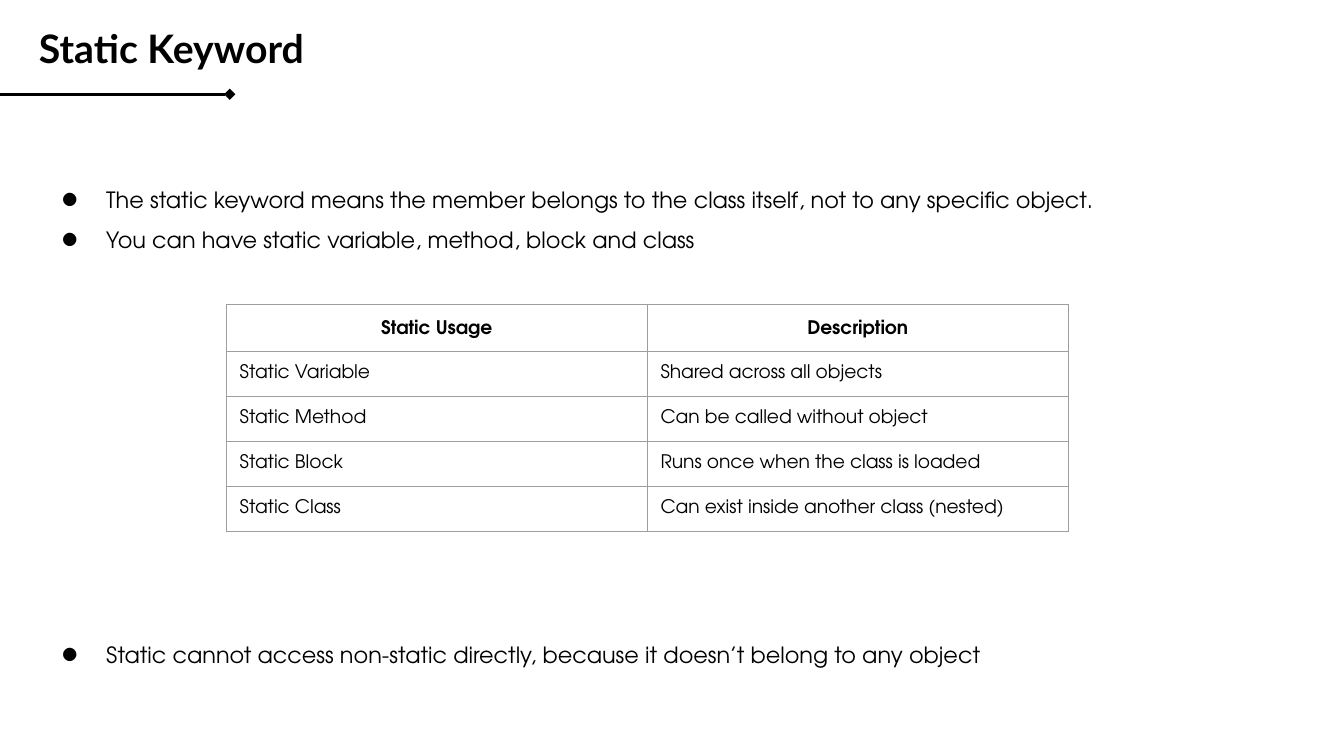
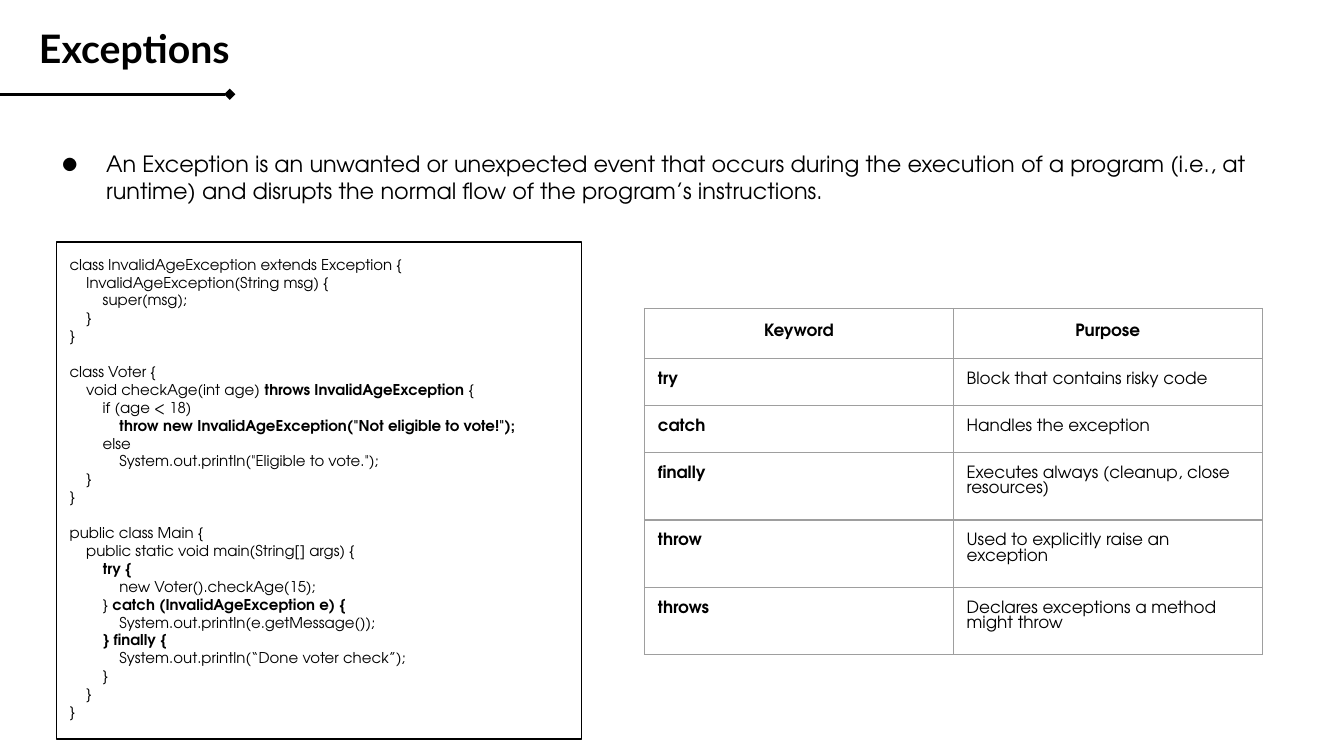
import pptx
import pptx.dml.color
import pptx.enum.shapes
import pptx.enum.text
import pptx.oxml
import pptx.oxml.ns
import pptx.util
from lxml import etree

Pt = pptx.util.Pt
ALIGN = pptx.enum.text.PP_ALIGN
ANCHOR = pptx.enum.text.MSO_ANCHOR
RECTANGLE = pptx.enum.shapes.MSO_SHAPE.RECTANGLE

COLORS = {"ink": "000000", "paper": "FFFFFF", "grid": "9E9E9E"}
TITLE_FONT = "Lato"
BODY_FONT = "TeX Gyre Adventor"
INSET = 7.2
BULLET_TOP_INSET = 14.5
BOLD_MARK = "**"

# Boxes are (left, top, width, height).
STATIC_SLIDE = {
    "title": "Static Keyword",
    "bullets": [
        {
            "box": (20.9, 77.8, 652.3, 62.6), "spacing": 1.5,
            "items": [
                "The static keyword means the member belongs to the class itself, not to any specific object.",
                "You can have static variable, method, block and class",
            ],
        },
        {
            "box": (20.9, 321.8, 652.3, 62.6), "spacing": 1.5,
            "items": ["Static cannot access non-static directly, because it doesn’t belong to any object"],
        },
    ],
    "table": {
        "origin": (121.2, 163.1), "column_width": 225.5, "size": 10,
        "row_heights": [25.2, 24.1, 24.1, 24.1, 24.1], "bold_keys": False,
        "rows": [
            ("Static Usage", "Description"),
            ("Static Variable", "Shared across all objects"),
            ("Static Method", "Can be called without object"),
            ("Static Block", "Runs once when the class is loaded"),
            ("Static Class", "Can exist inside another class (nested)"),
        ],
    },
}

EXCEPTION_SLIDE = {
    "title": "Exceptions",
    "bullets": [
        {
            "box": (20.9, 66.2, 674.6, 61.9), "spacing": 1,
            "items": [
                "An Exception is an unwanted or unexpected event that occurs during the execution "
                "of a program (i.e., at runtime) and disrupts the normal flow of the program’s instructions.",
            ],
        },
    ],
    "code": {
        "box": (30.2, 129.6, 281.5, 266.4), "size": 8, "class_gap": 9.6,
        "classes": [
            [
                "class InvalidAgeException extends Exception {",
                "    InvalidAgeException(String msg) {",
                "        super(msg);",
                "    }",
                "}",
            ],
            [
                "class Voter {",
                "    void checkAge(int age)** throws InvalidAgeException** {",
                "        if (age < 18)",
                '            **throw new InvalidAgeException("Not eligible to vote!");**',
                "        else",
                '            System.out.println("Eligible to vote.");',
                "    }",
                "}",
            ],
            [
                "public class Main {",
                "    public static void main(String[] args) {",
                "       ** try {**",
                "            new Voter().checkAge(15);",
                "        } **catch (InvalidAgeException e) {**",
                "            System.out.println(e.getMessage());",
                "**        } finally {**",
                "            System.out.println(“Done voter check”);",
                "        }",
                "    }",
                "}",
            ],
        ],
    },
    "table": {
        "origin": (345.2, 165.3), "column_width": 165.5, "size": 9,
        "row_heights": [26.8, 25.2, 25.2, 36.1, 36.1, 36.1], "bold_keys": True,
        "rows": [
            ("Keyword", "Purpose"),
            ("try", "Block that contains risky code"),
            ("catch", "Handles the exception"),
            ("finally", "Executes always (cleanup, close resources)"),
            ("throw", "Used to explicitly raise an exception"),
            ("throws", "Declares exceptions a method might throw"),
        ],
    },
}


def color(name):
    return pptx.dml.color.RGBColor.from_string(COLORS[name])


def points(*values):
    return [Pt(value) for value in values]


def add_run(paragraph, text, size, bold=False, font=BODY_FONT):
    run = paragraph.add_run()
    run.text = text
    run.font.name = font
    run.font.size = Pt(size)
    run.font.bold = bold
    run.font.color.rgb = color("ink")


def set_insets(frame, left, top, right, bottom):
    frame.margin_left, frame.margin_top, frame.margin_right, frame.margin_bottom = points(
        left, top, right, bottom)


def paragraphs(frame, count):
    """Return count paragraphs, starting with the one every frame has."""
    return [frame.paragraphs[0]] + [frame.add_paragraph() for _ in range(count - 1)]


def drawing_element(xml):
    return pptx.oxml.parse_xml(xml.replace(">", f' {pptx.oxml.ns.nsdecls("a")}>', 1))


def add_title(slide, text):
    title = slide.shapes.title
    title.left, title.top, title.width, title.height = points(20.9, 17, 540, 28.1)
    frame = title.text_frame
    frame.word_wrap = True
    frame.auto_size = pptx.enum.text.MSO_AUTO_SIZE.NONE
    frame.vertical_anchor = ANCHOR.MIDDLE
    set_insets(frame, 0, 0, INSET, INSET)
    paragraph = frame.paragraphs[0]
    paragraph.alignment = ALIGN.LEFT
    paragraph.line_spacing = 0.9
    add_run(paragraph, text, 21, True, TITLE_FONT)


def add_title_rule(slide):
    rule = slide.shapes.add_connector(
        pptx.enum.shapes.MSO_CONNECTOR.STRAIGHT, *points(0, 50.5, 123.1, 50.5))
    rule.line.color.rgb = color("ink")
    rule.line.width = Pt(1.5)
    etree.SubElement(rule.line._get_or_add_ln(), pptx.oxml.ns.qn("a:tailEnd"), type="diamond")
    etree.SubElement(rule._element.spPr, pptx.oxml.ns.qn("a:effectLst"))


def add_box(slide, box):
    shape = slide.shapes.add_shape(RECTANGLE, *points(*box))
    shape.shadow.inherit = False
    shape.text_frame.word_wrap = True
    shape.text_frame.vertical_anchor = ANCHOR.TOP
    return shape


def add_bullets(slide, content):
    shape = add_box(slide, content["box"])
    shape.fill.solid()
    shape.fill.fore_color.rgb = color("paper")
    shape.line.fill.background()
    frame = shape.text_frame
    set_insets(frame, 0, BULLET_TOP_INSET, 0, 0)
    items = content["items"]
    for paragraph, text in zip(paragraphs(frame, len(items)), items):
        properties = paragraph._p.get_or_add_pPr()
        properties.set("marL", str(Pt(36)))
        properties.set("indent", str(Pt(-24)))
        properties.append(drawing_element(
            f'<a:buClr><a:srgbClr val="{COLORS["ink"]}"/></a:buClr>'))
        etree.SubElement(properties, pptx.oxml.ns.qn("a:buFont"), typeface=BODY_FONT)
        etree.SubElement(properties, pptx.oxml.ns.qn("a:buChar"), char="●")
        paragraph.alignment = ALIGN.LEFT
        paragraph.line_spacing = content["spacing"]
        add_run(paragraph, text, 12)


def add_code(slide, content):
    shape = add_box(slide, content["box"])
    shape.fill.background()
    shape.line.color.rgb = color("ink")
    shape.line.width = Pt(0.75)
    frame = shape.text_frame
    set_insets(frame, INSET, INSET, INSET, INSET)
    lines = [(line, class_index > 0 and line_index == 0)
             for class_index, body in enumerate(content["classes"])
             for line_index, line in enumerate(body)]
    for paragraph, (line, opens_class) in zip(paragraphs(frame, len(lines)), lines):
        paragraph.alignment = ALIGN.LEFT
        if opens_class:
            paragraph.space_before = Pt(content["class_gap"])
        for index, part in enumerate(line.split(BOLD_MARK)):
            if part:
                add_run(paragraph, part, content["size"], index % 2 == 1)


def style_cell(cell):
    properties = cell._tc.get_or_add_tcPr()
    for side in ("lnL", "lnR", "lnT", "lnB"):
        properties.append(drawing_element(
            f'<a:{side} w="{Pt(0.75)}"><a:solidFill><a:srgbClr val="{COLORS["grid"]}"/>'
            f'</a:solidFill></a:{side}>'))
    cell.fill.background()
    set_insets(cell, INSET, INSET, INSET, INSET)


def add_table(slide, content):
    rows, heights = content["rows"], content["row_heights"]
    column_count = len(rows[0])
    width = content["column_width"]
    table = slide.shapes.add_table(
        len(rows), column_count,
        *points(*content["origin"], width * column_count, sum(heights))).table
    table.first_row = table.horz_banding = False
    for column in table.columns:
        column.width = Pt(width)
    for row_index, (texts, height) in enumerate(zip(rows, heights)):
        table.rows[row_index].height = Pt(height)
        is_header = row_index == 0
        for column_index, text in enumerate(texts):
            cell = table.cell(row_index, column_index)
            style_cell(cell)
            paragraph = cell.text_frame.paragraphs[0]
            paragraph.alignment = ALIGN.CENTER if is_header else ALIGN.LEFT
            paragraph.line_spacing = 1.15 if is_header else 1.0
            bold = is_header or (content["bold_keys"] and column_index == 0)
            add_run(paragraph, text, content["size"], bold)


def add_slide(presentation, content):
    slide = presentation.slides.add_slide(presentation.slide_layouts.get_by_name("Title Only"))
    add_title_rule(slide)
    add_title(slide, content["title"])
    for bullets in content["bullets"]:
        add_bullets(slide, bullets)
    if "code" in content:
        add_code(slide, content["code"])
    add_table(slide, content["table"])


def main():
    presentation = pptx.Presentation()
    presentation.slide_width, presentation.slide_height = points(720, 405)
    for content in (STATIC_SLIDE, EXCEPTION_SLIDE):
        add_slide(presentation, content)
    presentation.save("out.pptx")


if __name__ == "__main__":
    main()
